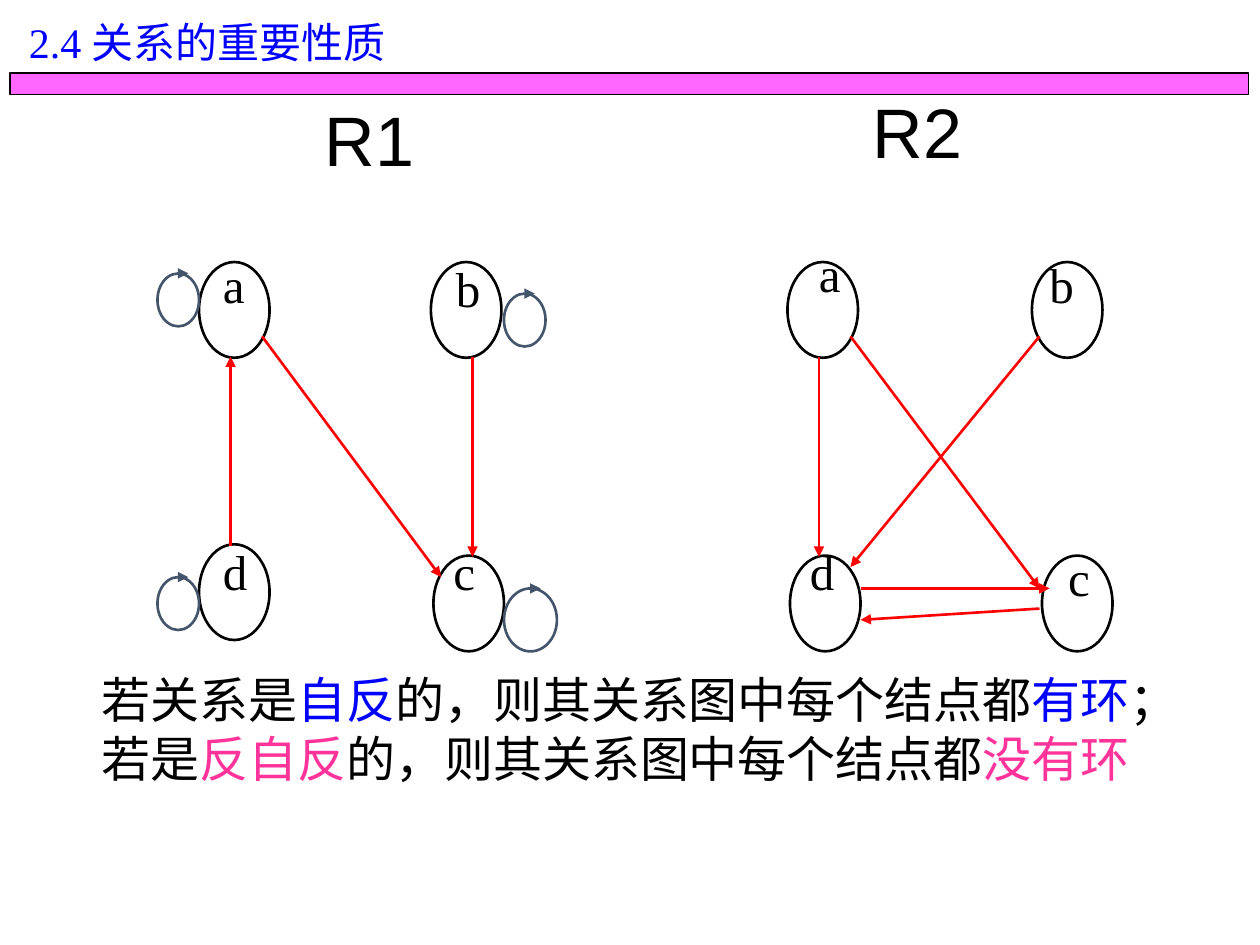
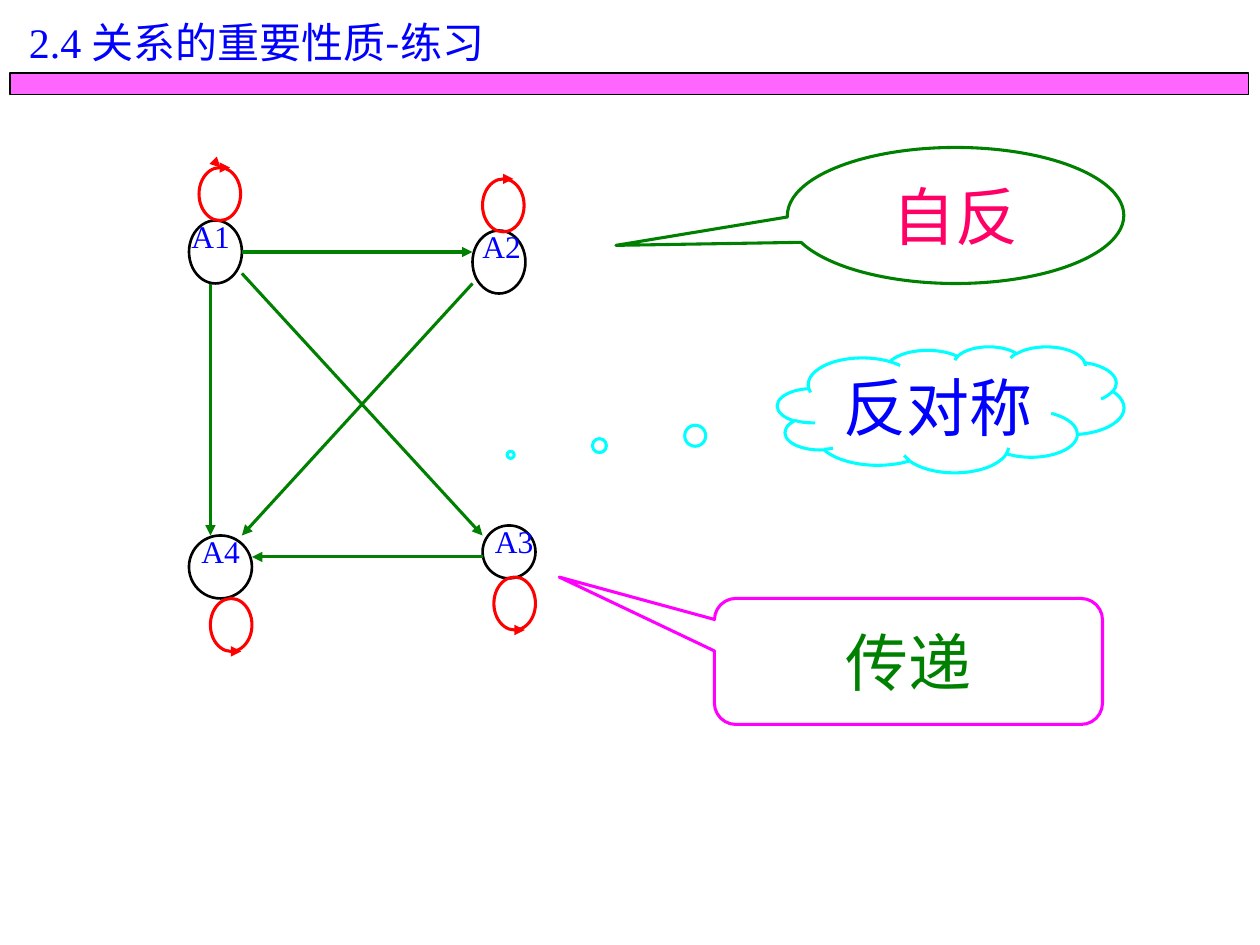
from lxml.etree import SubElement
from pptx import Presentation
from pptx.dml.color import RGBColor
from pptx.enum.shapes import MSO_CONNECTOR, MSO_SHAPE
from pptx.enum.text import MSO_ANCHOR, MSO_AUTO_SIZE, PP_ALIGN
from pptx.oxml.ns import qn
from pptx.util import Inches, Pt

BLACK = RGBColor(0x00, 0x00, 0x00)
BLUE = RGBColor(0x00, 0x00, 0xFF)
RED = RGBColor(0xFF, 0x00, 0x00)
GREEN = RGBColor(0x00, 0x80, 0x00)
CYAN = RGBColor(0x00, 0xFF, 0xFF)
MAGENTA = RGBColor(0xFF, 0x00, 0xFF)
SLATE = RGBColor(0x44, 0x54, 0x6A)
PINK = RGBColor(0xFF, 0x33, 0x99)
ROSE = RGBColor(0xFF, 0x00, 0x66)

SERIF = "Times New Roman"
SANS = "Arial"
CJK = "Noto Sans CJK SC"


def add_run(p, text, size, color, font):
    r = p.add_run()
    r.text = text
    r.font.size = Pt(size)
    r.font.color.rgb = color
    r.font.name = font
    SubElement(r._r.get_or_add_rPr(), qn("a:ea")).set("typeface", CJK)


def add_text(s, box, paragraphs, size, wrap=False, line_pt=None):
    """Each paragraph is a list of (text, colour, font) runs."""
    tf = s.shapes.add_textbox(*map(Inches, box)).text_frame
    tf.word_wrap = wrap
    tf.auto_size = MSO_AUTO_SIZE.SHAPE_TO_FIT_TEXT
    for i, runs in enumerate(paragraphs):
        p = tf.add_paragraph() if i else tf.paragraphs[0]
        if line_pt:
            p.line_spacing = Pt(line_pt)
        for text, color, font in runs:
            add_run(p, text, size, color, font)


def add_outline(s, kind, box, color, width):
    sp = s.shapes.add_shape(kind, *map(Inches, box))
    sp.shadow.inherit = False
    sp.fill.background()
    sp.line.color.rgb = color
    sp.line.width = Pt(width)
    return sp


def add_arrow(s, start, end, color, width):
    line = s.shapes.add_connector(MSO_CONNECTOR.STRAIGHT, *map(Inches, start + end))
    line.line.color.rgb = color
    line.line.width = Pt(width)
    SubElement(line.line._get_or_add_ln(), qn("a:tailEnd")).set("type", "triangle")
    SubElement(line._element.spPr, qn("a:effectLst"))


def add_node(s, oval, label, label_box, size, color):
    add_outline(s, MSO_SHAPE.OVAL, oval, BLACK, 1.5)
    add_text(s, label_box, [[(label, color, SERIF)]], size)


def add_loop(s, box, color, width, at_bottom=False):
    """Ring whose short arrowhead sits at the middle of its top or bottom."""
    left, top, w, h = box
    add_outline(s, MSO_SHAPE.OVAL, box, color, width)
    x, y = left + w / 2, top + (h if at_bottom else 0)
    add_arrow(s, (x, y), (x + 0.08, y), color, width)


def add_callout(s, kind, box, adjustments, line_color, text, text_color):
    sp = add_outline(s, kind, box, line_color, 1.75)
    for i, value in enumerate(adjustments):
        sp.adjustments[i] = value
    tf = sp.text_frame
    tf.word_wrap = True
    tf.vertical_anchor = MSO_ANCHOR.MIDDLE
    p = tf.paragraphs[0]
    p.alignment = PP_ALIGN.CENTER
    add_run(p, text, 36, text_color, SANS)


def new_slide(prs, title, title_width):
    s = prs.slides.add_slide(prs.slide_layouts[6])
    # Translucent band under the title
    band = add_outline(s, MSO_SHAPE.RECTANGLE, (0.08, 0.58, 9.83, 0.17), BLACK, 0.75)
    band.fill.solid()
    band.fill.fore_color.rgb = MAGENTA
    color = band._element.spPr.find(qn("a:solidFill"))[0]
    SubElement(color, qn("a:alpha")).set("val", "60000")
    add_text(s, (0.13, 0.08, title_width, 0.5),
             [[("2.4 ", BLUE, SERIF), (title, BLUE, CJK)]], 24, True, 29)
    return s


def build_reflexive(prs):
    s = new_slide(prs, "关系的重要性质", 3.78)

    # Graph names
    for name, x, y in (("R1", 2.48, 0.72), ("R2", 6.83, 0.65)):
        add_text(s, (x, y, 0.91, 1.1), [[(name, BLACK, SANS)]], 40)

    # Nodes: label, oval corner, label corner
    label_widths = {"a": 0.39, "b": 0.41, "c": 0.37, "d": 0.41}
    nodes = (
        ("a", 1.58, 2.08, 1.67, 1.97), ("b", 3.42, 2.08, 3.52, 2.0),
        ("c", 3.44, 4.41, 3.5, 4.25), ("d", 1.58, 4.32, 1.67, 4.25),
        ("a", 6.25, 2.08, 6.4, 1.88), ("b", 8.19, 2.08, 8.23, 1.97),
        ("c", 8.27, 4.41, 8.38, 4.3), ("d", 6.27, 4.41, 6.33, 4.25),
    )
    for label, x, y, label_x, label_y in nodes:
        add_node(s, (x, y, 0.56, 0.76), label,
                 (label_x, label_y, label_widths[label], 0.8), 28, BLACK)

    # Loops of R1
    for box in ((1.25, 2.17, 0.33, 0.42), (4, 2.33, 0.33, 0.42),
                (1.25, 4.58, 0.33, 0.42), (4, 4.67, 0.42, 0.5)):
        add_loop(s, box, SLATE, 1.5)

    # Edges of R1, then of R2
    edges = (
        ((2.08, 2.67), (3.5, 4.58)), ((3.75, 2.83), (3.75, 4.42)),
        ((1.83, 4.33), (1.83, 2.83)),
        ((6.75, 2.67), (8.25, 4.67)), ((6.5, 2.83), (6.5, 4.42)),
        ((8.25, 2.67), (6.75, 4.5)), ((8.25, 4.83), (6.83, 4.92)),
        ((6.83, 4.67), (8.33, 4.67)),
    )
    for start, end in edges:
        add_arrow(s, start, end, RED, 1.5)

    # Conclusion
    middle = ("的，则其关系图中每个结点都", BLACK, CJK)
    add_text(s, (0.71, 5.27, 9.29, 1.5), [
        [("若关系是", BLACK, CJK), ("自反", BLUE, CJK), middle,
         ("有环", BLUE, CJK), ("；", BLACK, CJK)],
        [("若是", BLACK, SANS), ("反自反", PINK, SANS), middle,
         ("没有环", PINK, SANS)],
    ], 28, True, 33.5)


def build_exercise(prs):
    s = new_slide(prs, "关系的重要性质-练习", 4.95)

    # Nodes: label, oval, label corner
    nodes = (
        ("A1", (1.5, 1.75, 0.42, 0.5), 1.42, 1.67),
        ("A2", (3.75, 1.83, 0.42, 0.5), 3.73, 1.75),
        ("A4", (1.5, 4.25, 0.5, 0.5), 1.5, 4.17),
        ("A3", (3.83, 4.17, 0.42, 0.42), 3.83, 4.09),
    )
    for label, oval, x, y in nodes:
        add_node(s, oval, label, (x, y, 0.52, 0.55), 18, BLUE)

    # Loops above the upper nodes and below the lower ones
    add_arrow(s, (1.74, 1.32), (1.75, 1.33), RED, 1.75)
    for x, y, at_bottom in ((1.58, 1.33, False), (3.83, 1.42, False),
                            (1.67, 4.75, True), (3.92, 4.58, True)):
        add_loop(s, (x, y, 0.33, 0.42), RED, 1.75, at_bottom)

    # Edges
    for start, end in (
        ((1.92, 2), (3.75, 2)), ((1.92, 2.17), (3.83, 4.25)),
        ((1.67, 2.25), (1.67, 4.25)), ((3.75, 2.25), (1.92, 4.25)),
        ((3.83, 4.42), (2, 4.42)),
    ):
        add_arrow(s, start, end, GREEN, 1.75)

    # Properties of the relation
    add_callout(s, MSO_SHAPE.OVAL_CALLOUT, (6.25, 1.17, 2.67, 1.08),
                (-1.01, 0.22), GREEN, "自反", ROSE)
    add_callout(s, MSO_SHAPE.CLOUD_CALLOUT, (6.17, 2.75, 2.75, 1),
                (-1.27, 0.36), CYAN, "反对称", BLUE)
    add_callout(s, MSO_SHAPE.ROUNDED_RECTANGULAR_CALLOUT, (5.67, 4.75, 3.08, 1),
                (-0.9, -0.67, 0.17), MAGENTA, "传递", GREEN)


def main():
    prs = Presentation()
    prs.slide_width = Inches(10)
    prs.slide_height = Inches(7.5)
    build_reflexive(prs)
    build_exercise(prs)
    prs.save("out.pptx")


if __name__ == "__main__":
    main()
